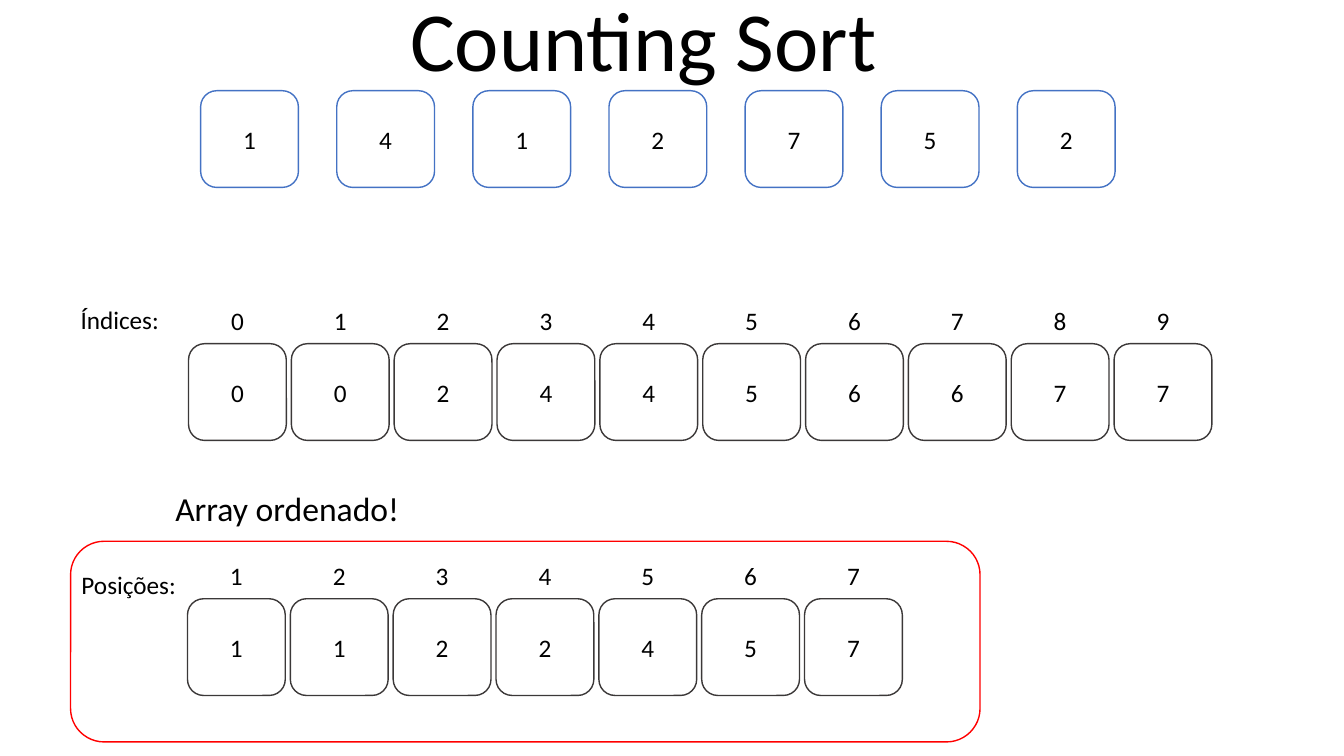
import pptx
import pptx.util
import pptx.dml.color
import pptx.enum.shapes
import pptx.enum.text

ALIGN = pptx.enum.text.PP_ALIGN
ANCHOR = pptx.enum.text.MSO_ANCHOR
WIDE, HIGH = 13.33, 7.5
BOX = (0.97, 0.96)
MARK = (0.56, 0.4)
INSET = (BOX[0] - MARK[0]) / 2

TITLE = ("Counting Sort", (1.38, -0.43, 10, 1.37))
ROWS = [
    {"left": 1.99, "top": 0.9, "step": 1.35, "line": "4472C4",
     "cells": "1412752", "marks": "", "rise": 0},
    {"left": 1.87, "top": 3.41, "step": 1.02, "line": "3B3838",
     "cells": "0024456677", "marks": "0123456789", "rise": 0.43},
    {"left": 1.86, "top": 5.94, "step": 1.02, "line": "3B3838",
     "cells": "1122457", "marks": "1234567", "rise": 0.43},
]
NOTES = [
    ("Índices:", (0.7, 2.97, 1.15, 0.4), 18),
    ("Posições:", (0.71, 5.6, 1.15, 0.4), 18),
    ("Array ordenado!", (1.64, 4.79, 2.87, 0.5), 24),
]
FRAME = (0.7, 5.37, 9.02, 1.99)


def color(code):
    return pptx.dml.color.RGBColor.from_string(code)


def place(area):
    return [pptx.util.Inches(part) for part in area]


def write(shape, text, size, align, anchor):
    frame = shape.text_frame
    frame.text = text
    form = {"word_wrap": True, "vertical_anchor": anchor,
            "auto_size": pptx.enum.text.MSO_AUTO_SIZE.NONE}
    for name, value in form.items():
        setattr(frame, name, value)
    para = frame.paragraphs[0]
    para.alignment = align
    font = para.runs[0].font
    for name, value in {"name": "Calibri", "size": pptx.util.Pt(size)}.items():
        setattr(font, name, value)
    font.color.rgb = color("000000")
    return para


def label(slide, text, area, size, align):
    box = slide.shapes.add_textbox(*place(area))
    write(box, text, size, align, ANCHOR.TOP)


def panel(slide, area, line, fill=None):
    kind = pptx.enum.shapes.MSO_SHAPE.ROUNDED_RECTANGLE
    shape = slide.shapes.add_shape(kind, *place(area))
    shape.shadow.inherit = False
    shape.line.color.rgb = color(line)
    shape.line.width = pptx.util.Pt(1)
    if fill:
        shape.fill.solid()
        shape.fill.fore_color.rgb = color(fill)
    else:
        shape.fill.background()
    return shape


def draw_row(slide, row):
    for spot, text in enumerate(row["cells"]):
        left = row["left"] + spot * row["step"]
        box = panel(slide, (left, row["top"], *BOX), row["line"], "FFFFFF")
        write(box, text, 18, ALIGN.CENTER, ANCHOR.MIDDLE)
    for spot, text in enumerate(row["marks"]):
        left = row["left"] + spot * row["step"] + INSET
        area = (left, row["top"] - row["rise"], *MARK)
        label(slide, text, area, 18, ALIGN.CENTER)


def main():
    deck = pptx.Presentation()
    deck.slide_width, deck.slide_height = place((WIDE, HIGH))
    slide = deck.slides.add_slide(deck.slide_layouts[5])
    text, area = TITLE
    title = slide.shapes.title
    for name, value in zip(("left", "top", "width", "height"), place(area)):
        setattr(title, name, value)
    write(title, text, 60, ALIGN.CENTER, ANCHOR.BOTTOM).line_spacing = 0.9
    for row in ROWS:
        draw_row(slide, row)
    for text, area, size in NOTES:
        label(slide, text, area, size, ALIGN.LEFT)
    panel(slide, FRAME, "FF0000")
    deck.save("out.pptx")


if __name__ == "__main__":
    main()
